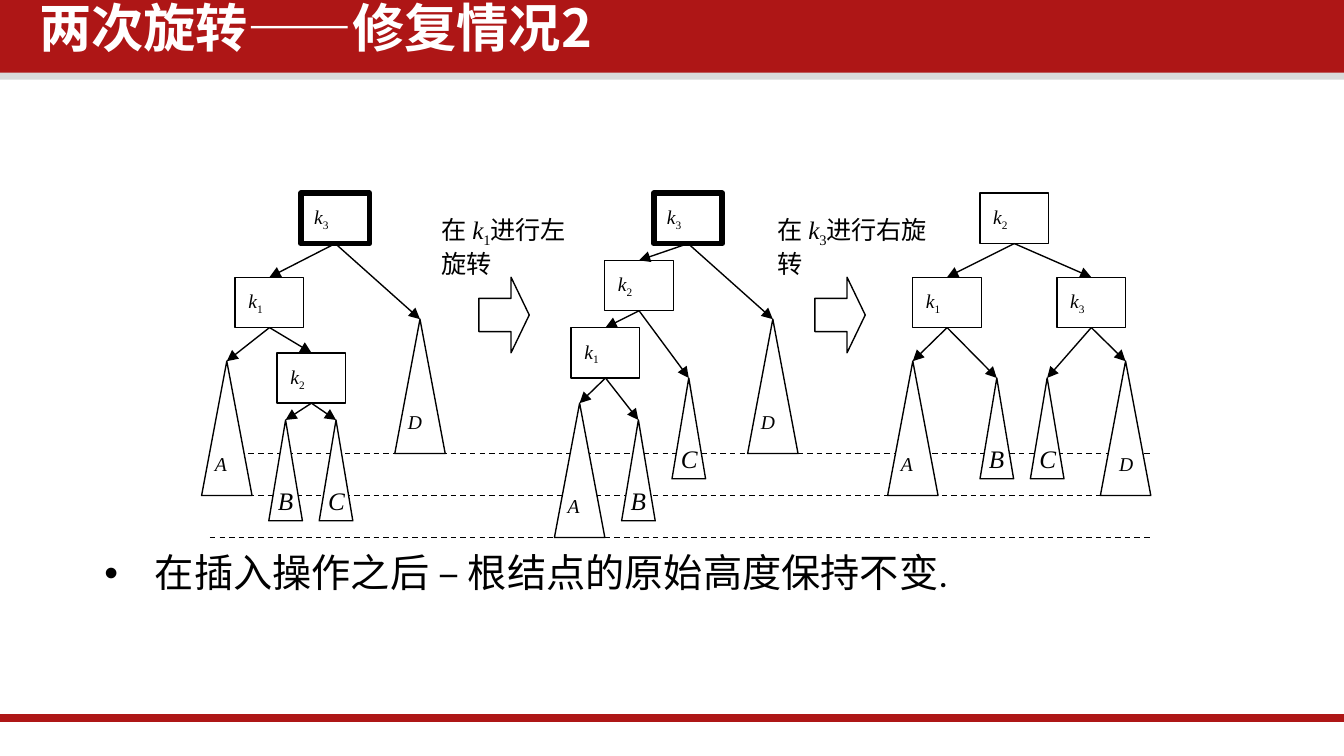
"""Build the slide on repairing an AVL tree with two rotations."""
from dataclasses import dataclass
from typing import Any

from lxml import etree
from pptx import Presentation
from pptx import util as u
from pptx.dml.color import RGBColor
from pptx.enum import dml, shapes, text
from pptx.oxml import ns

PX = 9525
COLORS = {"red": "AE1616", "grey": "D9D9D9", "white": "FFFFFF", "black": "000000"}
SERIF = "Times New Roman"
CHINESE = "Noto Sans CJK SC"
NODE_WIDTH, NODE_HEIGHT = 49, 36


@dataclass(frozen=True)
class Piece:
    content: str
    italic: bool = False
    subscript: bool = False


@dataclass(frozen=True)
class Node:
    key: str
    left: int
    top: int
    line_width: float = 0.75


@dataclass(frozen=True)
class Subtree:
    name: str
    apex_x: int
    apex_y: int
    label_shift: int = -18


@dataclass(frozen=True)
class Tree:
    nodes: tuple[Node, ...]
    subtrees: tuple[Subtree, ...]
    edges: str


@dataclass(frozen=True)
class Rotation:
    key: str
    direction: str
    caption_left: int
    caption_width: int
    arrow_left: int


TREES = (
    Tree(
        (Node("3", 215, 138, 3), Node("1", 168, 198), Node("2", 198, 252)),
        (Subtree("A", 162, 258), Subtree("D", 300, 228),
         Subtree("B", 204, 300, -15), Subtree("C", 240, 300, -15)),
        "31 3D 1A 12 2B 2C",
    ),
    Tree(
        (Node("3", 467, 138, 3), Node("2", 432, 186), Node("1", 408, 234)),
        (Subtree("A", 414, 288), Subtree("D", 552, 228),
         Subtree("B", 456, 300, -15), Subtree("C", 492, 270, -15)),
        "32 3D 21 2C 1A 1B",
    ),
    Tree(
        (Node("2", 700, 138), Node("1", 652, 198), Node("3", 755, 198)),
        (Subtree("A", 652, 258), Subtree("D", 804, 258, -14),
         Subtree("B", 712, 270, -15), Subtree("C", 748, 270, -15)),
        "21 23 1A 1B 3C 3D",
    ),
)
ROTATIONS = (
    Rotation("1", "左", 306, 114, 342),
    Rotation("3", "右", 546, 126, 582),
)


def px(*lengths: int) -> list[int]:
    return [length * PX for length in lengths]


def color(name: str) -> RGBColor:
    return RGBColor.from_string(COLORS[name])


def apply(target: Any, values: dict[str, Any]) -> None:
    for name, value in values.items():
        setattr(target, name, value)


def write(paragraph: Any, pieces: list[Piece], size: float, font_name: str = SERIF,
          font_color: str = "black", bold: bool = False) -> None:
    for piece in pieces:
        run = paragraph.add_run()
        run.text = piece.content
        run.font.color.rgb = color(font_color)
        apply(run.font, {"name": font_name, "size": u.Pt(size),
                         "bold": bold, "italic": piece.italic})
        properties = run.font._element
        etree.SubElement(properties, ns.qn("a:ea"), typeface=CHINESE)
        if piece.subscript:
            properties.set("baseline", "-25000")


def key_pieces(key: str) -> list[Piece]:
    return [Piece("k", italic=True), Piece(key, subscript=True)]


def style(shape: Any, fill: str | None, line: str | None, width: float = 0.75) -> None:
    shape.shadow.inherit = False
    if fill:
        shape.fill.solid()
        shape.fill.fore_color.rgb = color(fill)
    else:
        shape.fill.background()
    if line:
        shape.line.color.rgb = color(line)
        shape.line.width = u.Pt(width)
    else:
        shape.line.fill.background()


def add_bar(slide: Any, top: int, height: int, fill: str) -> None:
    bar = slide.shapes.add_shape(shapes.MSO_SHAPE.RECTANGLE, *px(0, top, 960, height))
    style(bar, fill, None)


def add_line(slide: Any, start: tuple[int, int], end: tuple[int, int],
             line: str = "black", width: float = 0.75) -> Any:
    connector = slide.shapes.add_connector(
        shapes.MSO_CONNECTOR.STRAIGHT, *px(*start, *end))
    connector.line.color.rgb = color(line)
    connector.line.width = u.Pt(width)
    etree.SubElement(connector.element.spPr, ns.qn("a:effectLst"))
    return connector


def add_text(slide: Any, box: tuple[int, int, int, int], pieces: list[Piece],
             size: float, wrap: bool) -> None:
    frame = slide.shapes.add_textbox(*px(*box)).text_frame
    frame.word_wrap = wrap
    write(frame.paragraphs[0], pieces, size)


def add_node(slide: Any, node: Node) -> Any:
    shape = slide.shapes.add_shape(
        shapes.MSO_SHAPE.RECTANGLE, *px(node.left, node.top, NODE_WIDTH, NODE_HEIGHT))
    style(shape, None, "black", node.line_width)
    frame = shape.text_frame
    apply(frame, {"word_wrap": False, "vertical_anchor": text.MSO_ANCHOR.MIDDLE})
    frame.paragraphs[0].alignment = text.PP_ALIGN.LEFT
    write(frame.paragraphs[0], key_pieces(node.key), 10.5)
    return shape


def add_subtree(slide: Any, subtree: Subtree) -> None:
    large = subtree.name in "AD"
    half, height, label_drop, size = (18, 96, 60, 10.5) if large else (12, 72, 42, 13.5)
    x, y = subtree.apex_x, subtree.apex_y
    builder = slide.shapes.build_freeform(*px(x, y), scale=1.0)
    builder.add_line_segments(
        [px(x + half, y + height), px(x - half, y + height)], close=True)
    style(builder.convert_to_shape(), "white", "black")
    box = (x + subtree.label_shift, y + label_drop, 30, 27 if large else 32)
    add_text(slide, box, [Piece(subtree.name, italic=True)], size, wrap=False)


def add_tree(slide: Any, tree: Tree) -> None:
    node_shapes = {node.key: add_node(slide, node) for node in tree.nodes}
    for subtree in tree.subtrees:
        add_subtree(slide, subtree)
    apexes = {subtree.name: (subtree.apex_x, subtree.apex_y) for subtree in tree.subtrees}
    for parent, child in tree.edges.split():
        edge = add_line(slide, (0, 0), apexes.get(child, (0, 0)))
        edge.begin_connect(node_shapes[parent], 2)
        if child in node_shapes:
            edge.end_connect(node_shapes[child], 0)
        etree.SubElement(edge.line._get_or_add_ln(), ns.qn("a:tailEnd"), type="triangle")


def add_rotation(slide: Any, rotation: Rotation) -> None:
    pieces = [Piece("在 "), *key_pieces(rotation.key),
              Piece(f"进行{rotation.direction}旋转")]
    add_text(slide, (rotation.caption_left, 148, rotation.caption_width, 54),
             pieces, 13.5, wrap=True)
    arrow = slide.shapes.add_shape(
        shapes.MSO_SHAPE.RIGHT_ARROW, *px(rotation.arrow_left, 198, 36, 54))
    arrow.adjustments[0], arrow.adjustments[1] = 0.44, 0.36
    style(arrow, "white", "black")


def fill_placeholder(shape: Any, box: tuple[int, int, int, int],
                     frame_format: dict[str, Any]) -> Any:
    apply(shape, dict(zip(("left", "top", "width", "height"), px(*box))))
    apply(shape.text_frame, {"word_wrap": True, "auto_size": text.MSO_AUTO_SIZE.NONE,
                             "vertical_anchor": text.MSO_ANCHOR.TOP, **frame_format})
    paragraph = shape.text_frame.paragraphs[0]
    apply(paragraph, {"alignment": text.PP_ALIGN.LEFT, "line_spacing": 0.9,
                      "space_before": u.Pt(0)})
    return paragraph


def main() -> None:
    presentation = Presentation()
    apply(presentation, {"slide_width": 960 * PX, "slide_height": 540 * PX})
    slide = presentation.slides.add_slide(presentation.slide_layouts[1])
    title, body = slide.placeholders
    add_bar(slide, 48, 9, "grey")
    add_bar(slide, 0, 52, "red")
    add_line(slide, (0, 513), (960, 513), "red", 4)
    for level in (324, 354, 384):
        add_line(slide, (150, level), (822, level)).line.dash_style = dml.MSO_LINE.DASH
    for tree in TREES:
        add_tree(slide, tree)
    for rotation in ROTATIONS:
        add_rotation(slide, rotation)

    heading = fill_placeholder(title, (21, 2, 733, 57), {
        "margin_left": 7 * PX, "margin_right": 7 * PX, "margin_top": 0, "margin_bottom": 4 * PX})
    write(heading, [Piece("两次旋转——修复情况2")], 28, CHINESE, "white", bold=True)
    slide.shapes.element.append(title.element)

    conclusion = fill_placeholder(body, (65, 391, 852, 52), {})
    properties = conclusion._p.get_or_add_pPr()
    apply(properties, {"marL": 18 * PX, "indent": -18 * PX})
    etree.SubElement(properties, ns.qn("a:buChar"), char="•")
    write(conclusion, [Piece("在插入操作之后 – 根结点的原始高度保持不变.")], 21, "Roboto")
    presentation.save("out.pptx")


if __name__ == "__main__":
    main()
